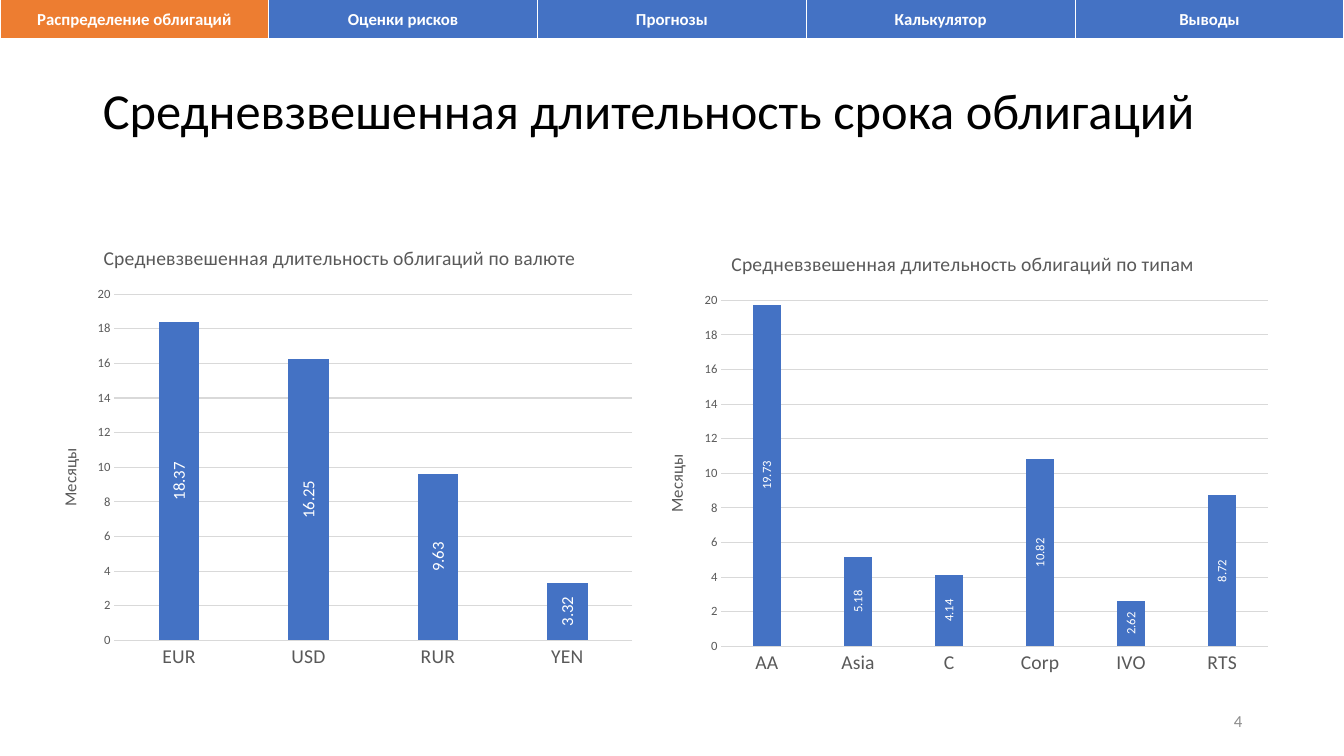
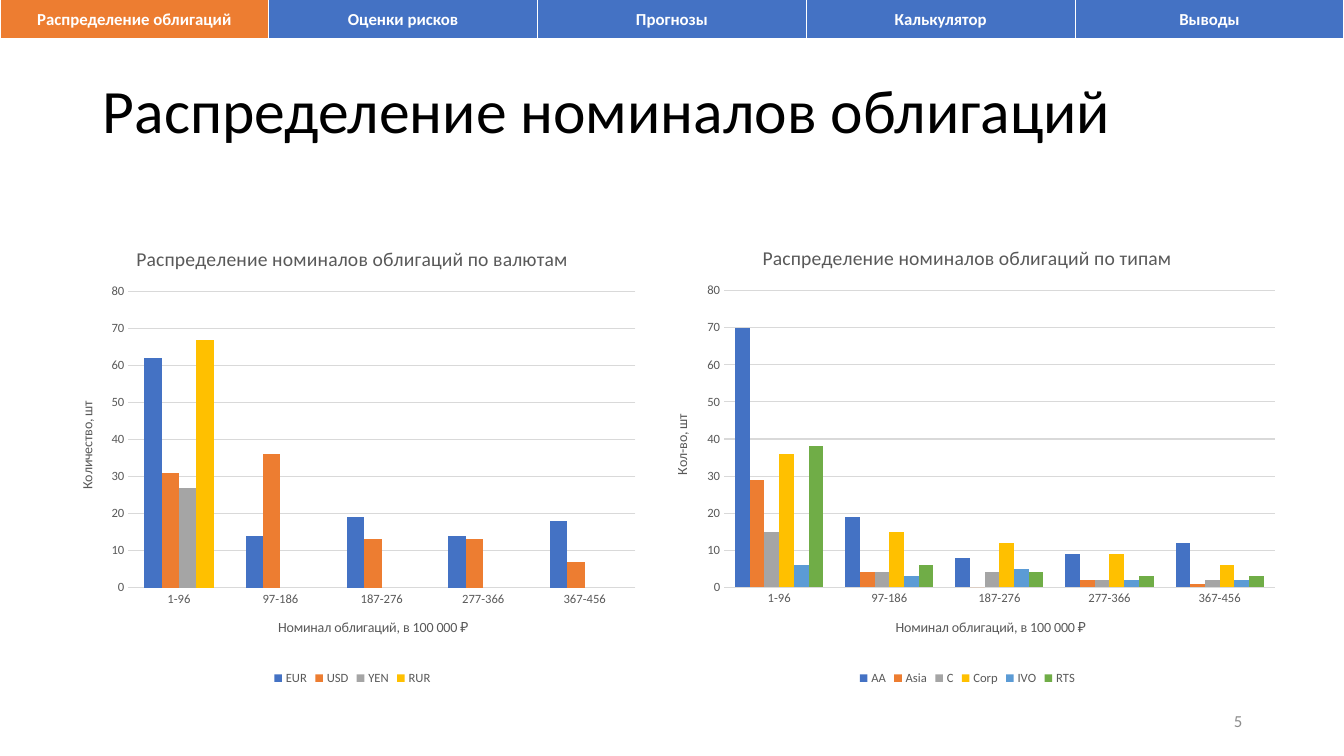
import pptx
import pptx.chart.data
import pptx.dml.color
import pptx.enum.chart
import pptx.enum.text
import pptx.oxml
import pptx.oxml.ns
import pptx.util

Inches = pptx.util.Inches
Pt = pptx.util.Pt
RGBColor = pptx.dml.color.RGBColor
PP_ALIGN = pptx.enum.text.PP_ALIGN
MIDDLE = pptx.enum.text.MSO_ANCHOR.MIDDLE
qn = pptx.oxml.ns.qn

WHITE = RGBColor(0xFF, 0xFF, 0xFF)
BLACK = RGBColor(0x00, 0x00, 0x00)
BLUE = RGBColor(0x44, 0x72, 0xC4)
ORANGE = RGBColor(0xED, 0x7D, 0x31)
GRAY = RGBColor(0xA5, 0xA5, 0xA5)
GOLD = RGBColor(0xFF, 0xC0, 0x00)
SKY = RGBColor(0x5B, 0x9B, 0xD5)
GREEN = RGBColor(0x70, 0xAD, 0x47)
CHART_TEXT = RGBColor(0x59, 0x59, 0x59)
GRID = RGBColor(0xD9, 0xD9, 0xD9)
PAGE_NUMBER = RGBColor(0x8C, 0x8C, 0x8C)

FONT = "Calibri"
SERIES_COLORS = [BLUE, ORANGE, GRAY, GOLD, SKY, GREEN]
SECTIONS = ["Распределение облигаций", "Оценки рисков", "Прогнозы", "Калькулятор", "Выводы"]
SLIDE_WIDTH = Inches(13.33)
SLIDE_HEIGHT = Inches(7.5)
TITLE_ONLY = 5

RANGES = ["1-96", "97-186", "187-276", "277-366", "367-456"]
NOMINAL = "Номинал облигаций, в 100 000 ₽"


class Deck:
    def __init__(self):
        self.presentation = pptx.Presentation()
        self.presentation.slide_width = SLIDE_WIDTH
        self.presentation.slide_height = SLIDE_HEIGHT
        self.slide = None

    def add_slide(self, title, title_size, number):
        layout = self.presentation.slide_layouts[TITLE_ONLY]
        self.slide = self.presentation.slides.add_slide(layout)
        self.title(title, title_size)
        self.navigation(SECTIONS[0])
        self.page_number(number)

    def style_font(self, font, size, color, bold=False):
        font.name = FONT
        font.size = Pt(size)
        font.bold = bold
        font.color.rgb = color

    def set_text(self, text_frame, text, size, color, align=None, bold=False):
        text_frame.text = text
        paragraph = text_frame.paragraphs[0]
        paragraph.alignment = align
        self.style_font(paragraph.runs[0].font, size, color, bold)
        return paragraph

    def title(self, text, size):
        shape = self.slide.shapes.title
        shape.left, shape.top = Inches(0.92), Inches(0.4)
        shape.width, shape.height = Inches(11.5), Inches(1.45)
        shape.text_frame.vertical_anchor = MIDDLE
        paragraph = self.set_text(shape.text_frame, text, size, BLACK, PP_ALIGN.LEFT)
        paragraph.line_spacing = 0.9

    def page_number(self, number):
        shape = self.slide.shapes.add_textbox(Inches(9.42), Inches(6.95), Inches(3), Inches(0.4))
        shape.text_frame.word_wrap = True
        shape.text_frame.vertical_anchor = MIDDLE
        self.set_text(shape.text_frame, str(number), 12, PAGE_NUMBER, PP_ALIGN.RIGHT)

    def navigation(self, active):
        frame = self.slide.shapes.add_table(
            1, len(SECTIONS), 0, Inches(-0.01), SLIDE_WIDTH, Inches(0.41))
        table = frame.table
        table.first_row = False
        table.horz_banding = False
        for cell, section in zip(table.rows[0].cells, SECTIONS):
            cell.vertical_anchor = MIDDLE
            cell.fill.solid()
            cell.fill.fore_color.rgb = ORANGE if section == active else BLUE
            self.set_text(cell.text_frame, section, 12, WHITE, PP_ALIGN.CENTER, bold=True)
            self.cell_borders(cell)

    def cell_borders(self, cell):
        properties = cell._tc.get_or_add_tcPr()
        widths = [("lnL", 1), ("lnR", 1), ("lnT", 1), ("lnB", 3)]
        for position, (side, width) in enumerate(widths):
            border = pptx.oxml.parse_xml(
                f'<a:{side} {pptx.oxml.ns.nsdecls("a")} w="{Pt(width)}">'
                f'<a:solidFill><a:srgbClr val="{WHITE}"/></a:solidFill></a:{side}>')
            properties.insert(position, border)

    def column_chart(self, box, title, categories, series, value_title, maximum, step, plot,
                     gap, overlap=0, category_title=None, category_size=9,
                     axis_title_size=10, label_size=None):
        data = pptx.chart.data.CategoryChartData()
        data.categories = categories
        for name, values in series.items():
            data.add_series(name, values)
        kind = pptx.enum.chart.XL_CHART_TYPE.COLUMN_CLUSTERED
        frame = self.slide.shapes.add_chart(kind, *map(Inches, box), data)
        chart = frame.chart
        self.style_font(chart.font, 10, BLACK)
        chart.has_title = True
        self.set_text(chart.chart_title.text_frame, title, 14, CHART_TEXT)
        chart.chart_title.include_in_layout = False

        self.axis(chart.category_axis, category_title, category_size, axis_title_size)
        self.axis(chart.value_axis, value_title, 9, axis_title_size)
        chart.category_axis.format.line.color.rgb = GRID
        chart.category_axis.format.line.width = Pt(0.75)
        self.value_scale(chart.value_axis, maximum, step)

        columns = chart.plots[0]
        columns.vary_by_categories = False
        columns.gap_width = gap
        columns.overlap = overlap
        for column, color in zip(columns.series, SERIES_COLORS):
            column.format.fill.solid()
            column.format.fill.fore_color.rgb = color
        if label_size:
            self.vertical_labels(columns, label_size)
        chart.has_legend = len(series) > 1
        if chart.has_legend:
            chart.legend.position = pptx.enum.chart.XL_LEGEND_POSITION.BOTTOM
            chart.legend.include_in_layout = False
            self.style_font(chart.legend.font, 9, CHART_TEXT)
        self.plot_layout(chart, plot)

    def axis(self, axis, title, size, title_size):
        axis.major_tick_mark = pptx.enum.chart.XL_TICK_MARK.NONE
        axis.minor_tick_mark = pptx.enum.chart.XL_TICK_MARK.NONE
        self.style_font(axis.tick_labels.font, size, CHART_TEXT)
        axis.has_title = title is not None
        if title:
            self.set_text(axis.axis_title.text_frame, title, title_size, CHART_TEXT)

    def value_scale(self, axis, maximum, step):
        axis.minimum_scale = 0
        axis.maximum_scale = maximum
        axis.major_unit = step
        axis.tick_labels.number_format = "0"
        axis.tick_labels.number_format_is_linked = False
        axis.format.line.fill.background()
        axis.has_major_gridlines = True
        axis.major_gridlines.format.line.color.rgb = GRID
        axis.major_gridlines.format.line.width = Pt(0.75)

    def vertical_labels(self, columns, size):
        columns.has_data_labels = True
        labels = columns.data_labels
        labels.show_value = True
        labels.position = pptx.enum.chart.XL_LABEL_POSITION.CENTER
        labels.number_format = "0.00"
        labels.number_format_is_linked = False
        self.style_font(labels.font, size, WHITE)
        body = labels._element.find(qn("c:txPr")).find(qn("a:bodyPr"))
        body.set("rot", "-5400000")
        body.set("vert", "horz")

    def plot_layout(self, chart, plot):
        area = chart._chartSpace.chart.plotArea
        for layout in area.findall(qn("c:layout")):
            area.remove(layout)
        sizes = "".join(f'<c:{key} val="{value}"/>' for key, value in zip("xywh", plot))
        area.insert(0, pptx.oxml.parse_xml(
            f'<c:layout {pptx.oxml.ns.nsdecls("c")}><c:manualLayout>'
            '<c:layoutTarget val="inner"/><c:xMode val="edge"/><c:yMode val="edge"/>'
            f'{sizes}</c:manualLayout></c:layout>'))

    def save(self):
        self.presentation.save("out.pptx")


def main():
    deck = Deck()

    deck.add_slide("Средневзвешенная длительность срока облигаций", 36, 4)
    duration = dict(value_title="Месяцы", maximum=20, step=2, gap=219, overlap=-27,
                    category_size=14, axis_title_size=12)
    deck.column_chart(
        (0.35, 2.25, 6.04, 4.46), "Средневзвешенная длительность облигаций по валюте",
        ["EUR", "USD", "RUR", "YEN"], {"Месяцы": [18.37, 16.25, 9.63, 3.32]},
        plot=(0.13, 0.15, 0.85, 0.77), label_size=12, **duration)
    deck.column_chart(
        (6.4, 2.31, 6.3, 4.46), "Средневзвешенная длительность облигаций по типам",
        ["AA", "Asia", "C", "Corp", "IVO", "RTS"],
        {"Месяцы": [19.73, 5.18, 4.14, 10.82, 2.62, 8.72]},
        plot=(0.12, 0.15, 0.86, 0.77), label_size=9, **duration)

    deck.add_slide("Распределение номиналов облигаций", 44, 5)
    nominal = dict(categories=RANGES, category_title=NOMINAL, maximum=80, step=10,
                   plot=(0.12, 0.14, 0.86, 0.64))
    deck.column_chart(
        (0.57, 2.25, 5.85, 4.59), "Распределение номиналов облигаций по валютам",
        series={
            "EUR": [62, 14, 19, 14, 18],
            "USD": [31, 36, 13, 13, 7],
            "YEN": [27, None, None, None, None],
            "RUR": [67, None, None, None, None],
        },
        value_title="Количество, шт", gap=182, **nominal)
    deck.column_chart(
        (6.42, 2.24, 6.35, 4.6), "Распределение номиналов облигаций по типам",
        series={
            "AA": [70, 19, 8, 9, 12],
            "Asia": [29, 4, 0, 2, 1],
            "C": [15, 4, 4, 2, 2],
            "Corp": [36, 15, 12, 9, 6],
            "IVO": [6, 3, 5, 2, 2],
            "RTS": [38, 6, 4, 3, 3],
        },
        value_title="Кол-во, шт", gap=150, **nominal)

    deck.save()


if __name__ == "__main__":
    main()
